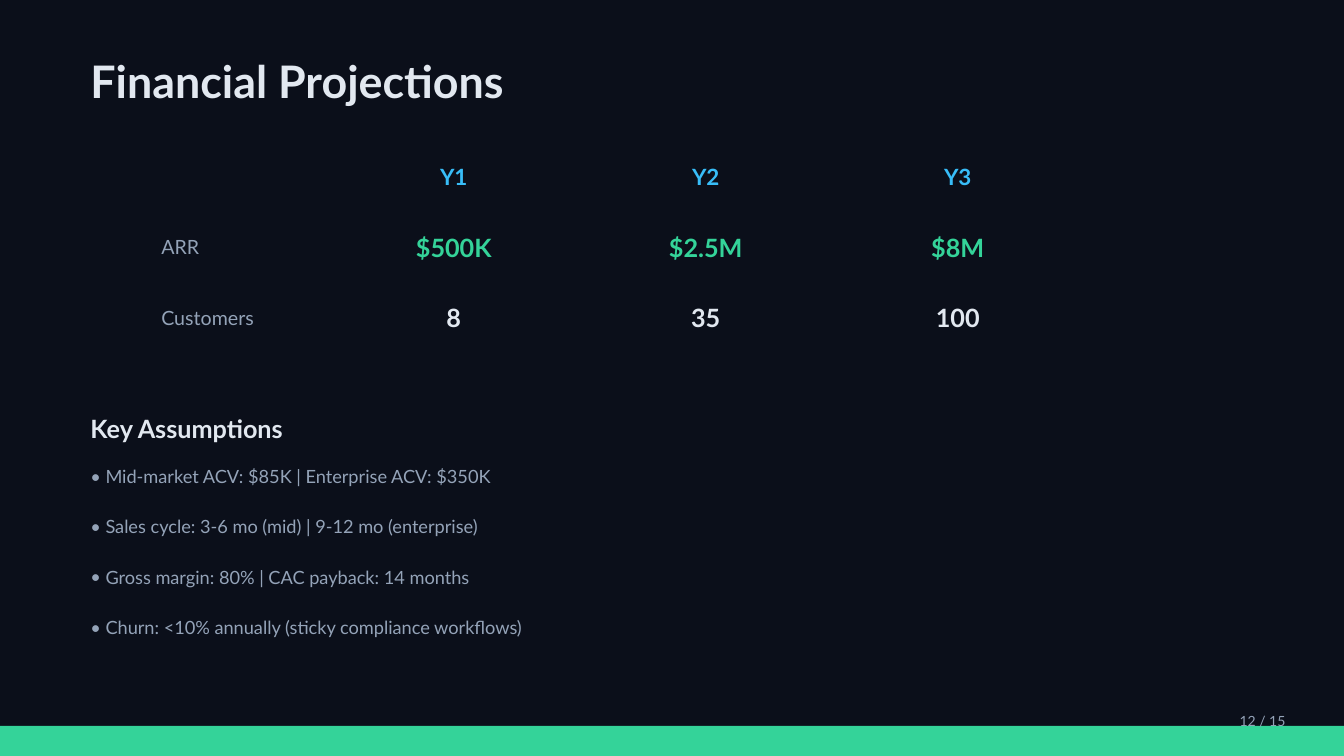
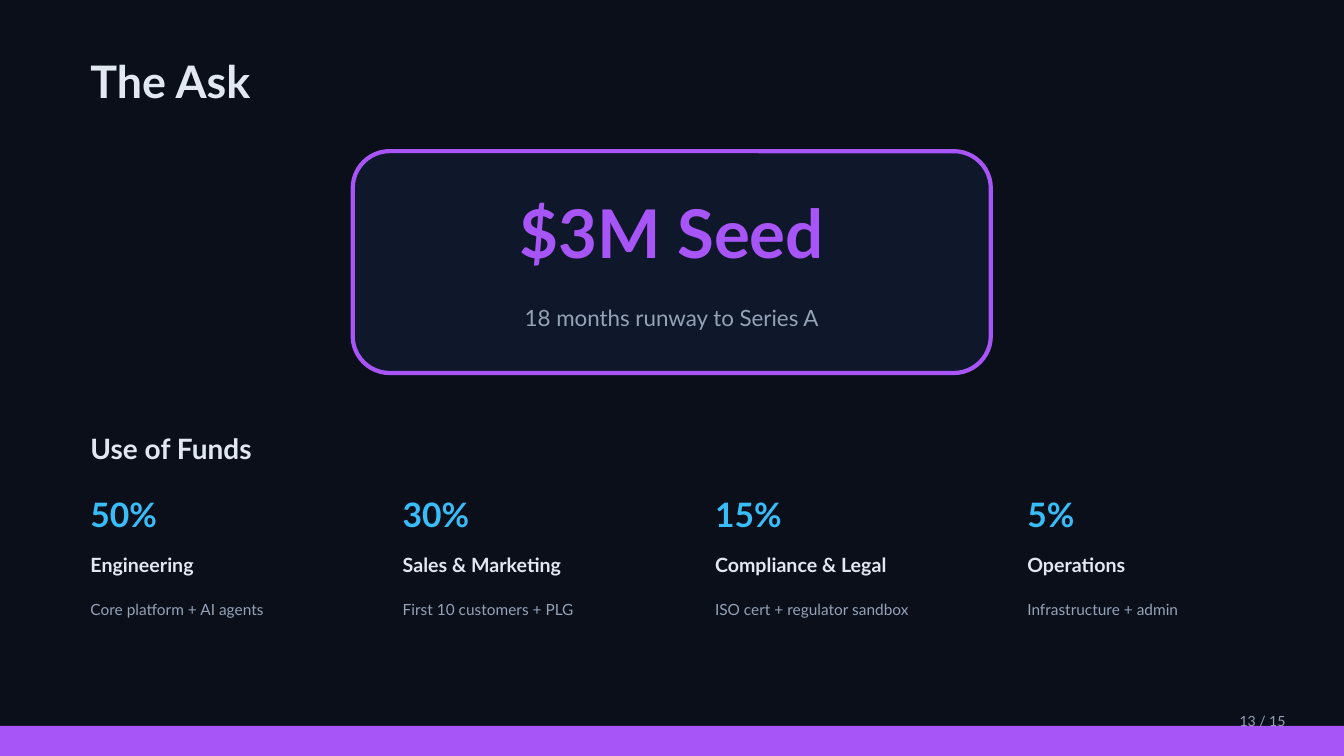
from lxml import etree
from pptx import Presentation
from pptx import util as u
from pptx.dml.color import RGBColor
from pptx.enum import shapes, text
from pptx.oxml import ns

NIGHT = RGBColor(0x0B, 0x0F, 0x1A)
PANEL = RGBColor(0x0F, 0x17, 0x2A)
LIGHT = RGBColor(0xE2, 0xE8, 0xF0)
MUTED = RGBColor(0x94, 0xA3, 0xB8)
BLUE = RGBColor(0x38, 0xBD, 0xF8)
GREEN = RGBColor(0x34, 0xD3, 0x99)
PURPLE = RGBColor(0xA8, 0x55, 0xF7)

FONT = "Lato"
WIDTH, HEIGHT = 33.87, 19.05
LEFT, CONTENT_W = 2.03, 30.48
TOTAL = 15
NO_STYLE = "{2D5ABB26-0587-4C30-8999-92F81FD0307C}"

PROJECTIONS = [
    ["", "Y1", "Y2", "Y3"],
    ["ARR", "$500K", "$2.5M", "$8M"],
    ["Customers", "8", "35", "100"],
]
ASSUMPTIONS = [
    "Mid-market ACV: $85K | Enterprise ACV: $350K",
    "Sales cycle: 3-6 mo (mid) | 9-12 mo (enterprise)",
    "Gross margin: 80% | CAC payback: 14 months",
    "Churn: <10% annually (sticky compliance workflows)",
]
FUNDS = [
    ("50%", "Engineering", "Core platform + AI agents"),
    ("30%", "Sales & Marketing", "First 10 customers + PLG"),
    ("15%", "Compliance & Legal", "ISO cert + regulator sandbox"),
    ("5%", "Operations", "Infrastructure + admin"),
]


def cm(*lengths):
    return [u.Cm(v) for v in lengths]


def write(p, content, size=14, color=LIGHT, bold=False, center=False):
    p.alignment = text.PP_ALIGN.CENTER if center else text.PP_ALIGN.LEFT
    r = p.add_run()
    r.text = content
    r.font.name = FONT
    r.font.size = u.Pt(size)
    r.font.bold = bold
    r.font.color.rgb = color


def add_frame(s, box):
    tf = s.shapes.add_textbox(*cm(*box)).text_frame
    tf.word_wrap = True
    tf.vertical_anchor = text.MSO_ANCHOR.MIDDLE
    return tf


def add_text(s, box, content, **fmt):
    write(add_frame(s, box).paragraphs[0], content, **fmt)


def add_box(s, kind, box, fill, line=None):
    sp = s.shapes.add_shape(kind, *cm(*box))
    sp.shadow.inherit = False
    sp.fill.solid()
    sp.fill.fore_color.rgb = fill
    if line is None:
        sp.line.fill.background()
    else:
        sp.line.color.rgb = line
        sp.line.width = u.Pt(3)


def add_bullets(s, box, items, gap, **fmt):
    tf = add_frame(s, box)
    for i, item in enumerate(items):
        p = tf.add_paragraph() if i else tf.paragraphs[0]
        p.space_before = u.Pt(gap if i else 0)
        write(p, item, **fmt)
        pPr = p._p.get_or_add_pPr()
        indent = u.Cm(0.38)
        pPr.set("marL", str(indent))
        pPr.set("indent", str(-indent))
        etree.SubElement(pPr, ns.qn("a:buFont")).set("typeface", FONT)
        etree.SubElement(pPr, ns.qn("a:buChar")).set("char", "•")


def clear_cell(cell):
    tcPr = cell._tc.get_or_add_tcPr()
    for side in ("lnL", "lnR", "lnT", "lnB"):
        ln = etree.SubElement(tcPr, ns.qn(f"a:{side}"))
        etree.SubElement(ln, ns.qn("a:noFill"))
    cell.fill.background()


def add_projections(s, box, rows, label_w):
    table = s.shapes.add_table(len(rows), len(rows[0]), *cm(*box)).table
    table.first_row = table.horz_banding = False
    table._tbl.tblPr.find(ns.qn("a:tableStyleId")).text = NO_STYLE
    year_w = (box[2] - label_w) / (len(rows[0]) - 1)
    for j, col in enumerate(table.columns):
        col.width = u.Cm(year_w if j else label_w)
    styles = [(16, BLUE), (18, GREEN), (18, LIGHT)]
    for i, (row, (size, color)) in enumerate(zip(rows, styles)):
        table.rows[i].height = u.Cm(box[3] / len(rows))
        for j, value in enumerate(row):
            cell = table.cell(i, j)
            clear_cell(cell)
            cell.vertical_anchor = text.MSO_ANCHOR.MIDDLE
            p = cell.text_frame.paragraphs[0]
            if j:
                write(p, value, size=size, color=color, bold=True, center=True)
            elif value:
                write(p, value, color=MUTED)


def add_offer(s, box, amount, note):
    x, y, w, _ = box
    add_box(s, shapes.MSO_SHAPE.ROUNDED_RECTANGLE, box, PANEL, PURPLE)
    add_text(s, (x, y + 0.76, w, 2.54), amount,
             size=48, color=PURPLE, bold=True, center=True)
    add_text(s, (x, y + 3.56, w, 1.27), note, size=16, color=MUTED, center=True)


def add_fund(s, box, share, area, detail):
    x, y, w, _ = box
    add_text(s, (x, y, w, 1.52), share, size=24, color=BLUE, bold=True)
    add_text(s, (x, y + 1.52, w, 1.02), area, bold=True)
    add_text(s, (x, y + 2.54, w, 1.27), detail, size=11, color=MUTED)


def new_slide(prs, title, number, accent):
    s = prs.slides.add_slide(prs.slide_layouts[6])
    rect = shapes.MSO_SHAPE.RECTANGLE
    add_box(s, rect, (0, 0, WIDTH, HEIGHT), NIGHT)
    add_text(s, (LEFT, 1.27, CONTENT_W, 1.52), title, size=32, bold=True)
    add_box(s, rect, (0, HEIGHT - 0.76, WIDTH, 0.76), accent)
    add_text(s, (30.99, 17.78, 2.54, 0.76), f"{number} / {TOTAL}",
             size=10, color=MUTED)
    return s


def projections_slide(prs):
    s = new_slide(prs, "Financial Projections", 12, GREEN)
    add_projections(s, (3.81, 3.56, 23.5, 5.34), PROJECTIONS, 4.45)
    add_text(s, (LEFT, 10.16, CONTENT_W, 1.27), "Key Assumptions",
             size=18, bold=True)
    add_bullets(s, (LEFT, 11.43, CONTENT_W, 4.95), ASSUMPTIONS, 20.4,
                size=13, color=MUTED)


def ask_slide(prs):
    s = new_slide(prs, "The Ask", 13, PURPLE)
    add_offer(s, (8.89, 3.81, 16.08, 5.59), "$3M Seed",
              "18 months runway to Series A")
    add_text(s, (LEFT, 10.67, CONTENT_W, 1.27), "Use of Funds",
             size=20, bold=True)
    for i, fund in enumerate(FUNDS):
        add_fund(s, (LEFT + i * 7.87, 12.19, 7.11, 3.81), *fund)


def main():
    prs = Presentation()
    prs.slide_width, prs.slide_height = cm(WIDTH, HEIGHT)
    projections_slide(prs)
    ask_slide(prs)
    prs.save("out.pptx")


if __name__ == "__main__":
    main()
